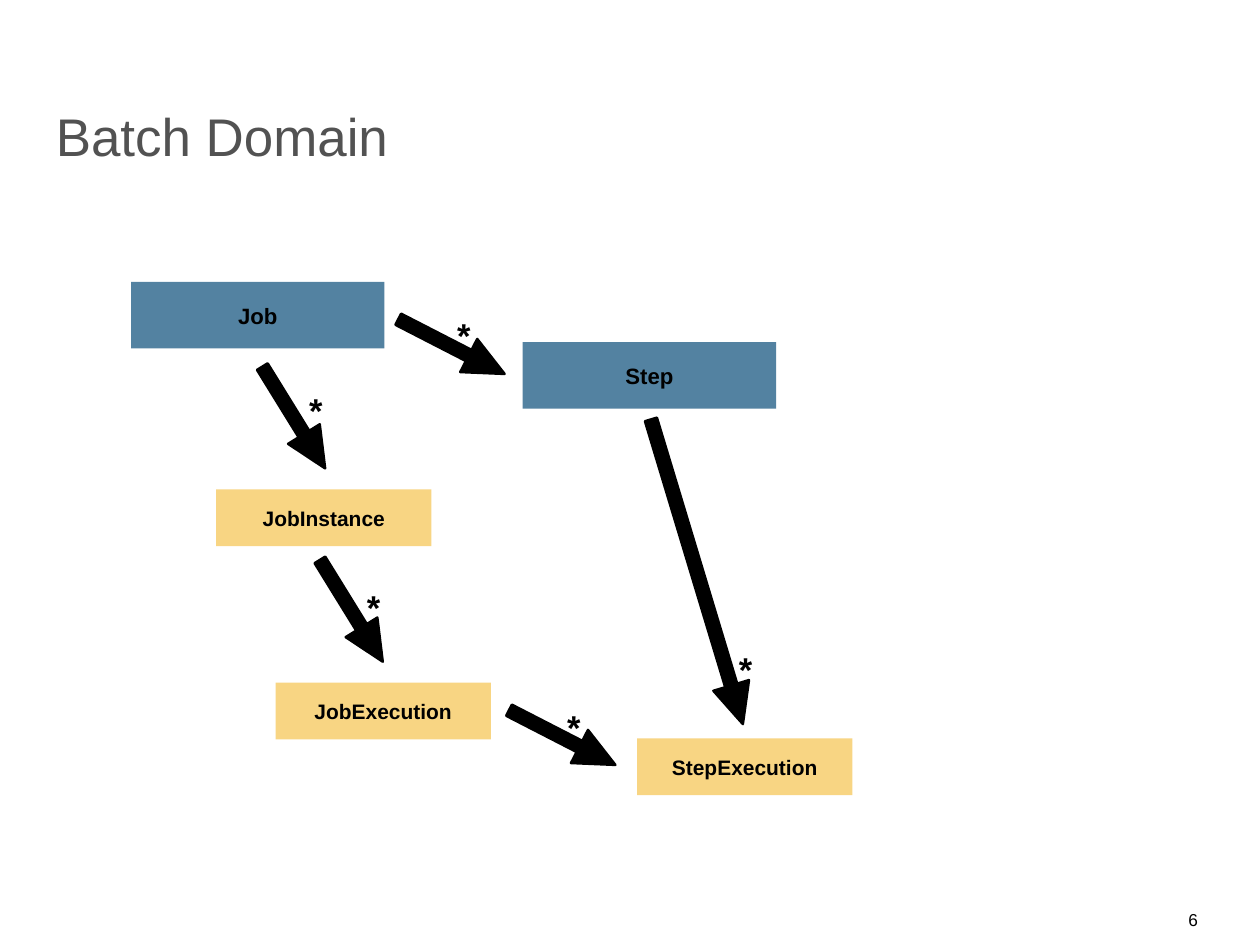
from dataclasses import dataclass

from pptx import Presentation
from pptx.dml.color import RGBColor
from pptx.enum.shapes import MSO_SHAPE
from pptx.enum.text import MSO_ANCHOR, MSO_AUTO_SIZE, PP_ALIGN
from pptx.util import Inches, Pt

RECTANGLE = MSO_SHAPE.RECTANGLE
RIGHT_ARROW = MSO_SHAPE.RIGHT_ARROW
TOP, MIDDLE, BOTTOM = MSO_ANCHOR.TOP, MSO_ANCHOR.MIDDLE, MSO_ANCHOR.BOTTOM
LEFT, CENTER, RIGHT = PP_ALIGN.LEFT, PP_ALIGN.CENTER, PP_ALIGN.RIGHT
NO_AUTOFIT = MSO_AUTO_SIZE.NONE
TITLE_ONLY = 5


@dataclass(frozen=True)
class Theme:
    font: str = "Arial"
    ink: str = "000000"
    heading: str = "525252"
    definition: str = "5382A1"
    runtime: str = "F8D583"
    title_size: int = 43
    definition_size: int = 18
    runtime_size: int = 17
    star_size: int = 28
    number_size: int = 14


def write(frame, text, *, font, size, color, bold=False, align=LEFT,
          anchor=TOP, insets=(0, 0, 0, 0), wrap=True):
    frame.auto_size = NO_AUTOFIT
    frame.word_wrap = wrap
    frame.vertical_anchor = anchor
    left, top, right, bottom = insets
    frame.margin_left, frame.margin_top = Inches(left), Inches(top)
    frame.margin_right, frame.margin_bottom = Inches(right), Inches(bottom)
    para = frame.paragraphs[0]
    para.alignment = align
    span = para.add_run()
    span.text = text
    span.font.name = font
    span.font.size = Pt(size)
    span.font.bold = bold
    span.font.color.rgb = RGBColor.from_string(color)


class DiagramPage:
    def __init__(self, deck, theme):
        self.theme = theme
        self.page = deck.slides.add_slide(deck.slide_layouts[TITLE_ONLY])

    def title(self, text):
        heading = self.page.shapes.title
        heading.left, heading.top = Inches(0.63), Inches(0)
        heading.width, heading.height = Inches(12.97), Inches(1.89)
        write(heading.text_frame, text, font=self.theme.font, anchor=BOTTOM,
              size=self.theme.title_size, color=self.theme.heading)

    def shape(self, kind, left, top, width, height, color):
        shape = self.page.shapes.add_shape(
            kind, Inches(left), Inches(top), Inches(width), Inches(height))
        shape.shadow.inherit = False
        shape.fill.solid()
        shape.fill.fore_color.rgb = RGBColor.from_string(color)
        return shape

    def entity(self, text, left, top, width, height, color, size):
        box = self.shape(RECTANGLE, left, top, width, height, color)
        box.line.fill.background()
        write(box.text_frame, text, font=self.theme.font, size=size,
              color=self.theme.ink, bold=True, align=CENTER, anchor=MIDDLE)

    def definition(self, text, left, top):
        self.entity(text, left, top, 2.86, 0.75,
                    self.theme.definition, self.theme.definition_size)

    def runtime(self, text, left, top):
        self.entity(text, left, top, 2.43, 0.64,
                    self.theme.runtime, self.theme.runtime_size)

    def arrow(self, left, top, length, angle):
        arrow = self.shape(RIGHT_ARROW, left, top, length, 0.42, self.theme.ink)
        arrow.rotation = angle
        arrow.adjustments[0] = 0.335
        arrow.adjustments[1] = 1.085
        arrow.line.color.rgb = RGBColor.from_string(self.theme.ink)
        arrow.line.width = Pt(2)

    def label(self, text, left, top, width, height, **style):
        box = self.page.shapes.add_textbox(
            Inches(left), Inches(top), Inches(width), Inches(height))
        write(box.text_frame, text, font=self.theme.font,
              color=self.theme.ink, wrap=False, **style)

    def star(self, left, top):
        self.label("*", left, top, 0.26, 0.52, size=self.theme.star_size,
                   bold=True, insets=(0.04, 0.03, 0.07, 0.03))

    def number(self, text):
        self.label(text, 13.28, 10.21, 0.34, 0.33, align=RIGHT,
                   size=self.theme.number_size, insets=(0.1, 0.05, 0.1, 0.05))


def main():
    deck = Presentation()
    deck.slide_width, deck.slide_height = Inches(14.22), Inches(10.66)
    diagram = DiagramPage(deck, Theme())
    diagram.title("Batch Domain")

    for name, left, top in [("Job", 1.48, 3.18), ("Step", 5.9, 3.86)]:
        diagram.definition(name, left, top)
    for name, left, top in [
        ("JobInstance", 2.44, 5.52),
        ("JobExecution", 3.11, 7.7),
        ("StepExecution", 7.19, 8.33),
    ]:
        diagram.runtime(name, left, top)

    for arrow, star in [
        ((2.64, 4.5, 1.35, 58.3), (3.45, 4.36)),
        ((3.29, 6.68, 1.35, 58.3), (4.1, 6.58)),
        ((6.07, 6.24, 3.59, 73.2), (8.3, 7.28)),
        ((4.42, 3.7, 1.35, 27.2), (5.12, 3.51)),
        ((5.67, 8.11, 1.35, 27.2), (6.36, 7.93)),
    ]:
        diagram.arrow(*arrow)
        diagram.star(*star)

    diagram.number("6")
    deck.save("out.pptx")


if __name__ == "__main__":
    main()
